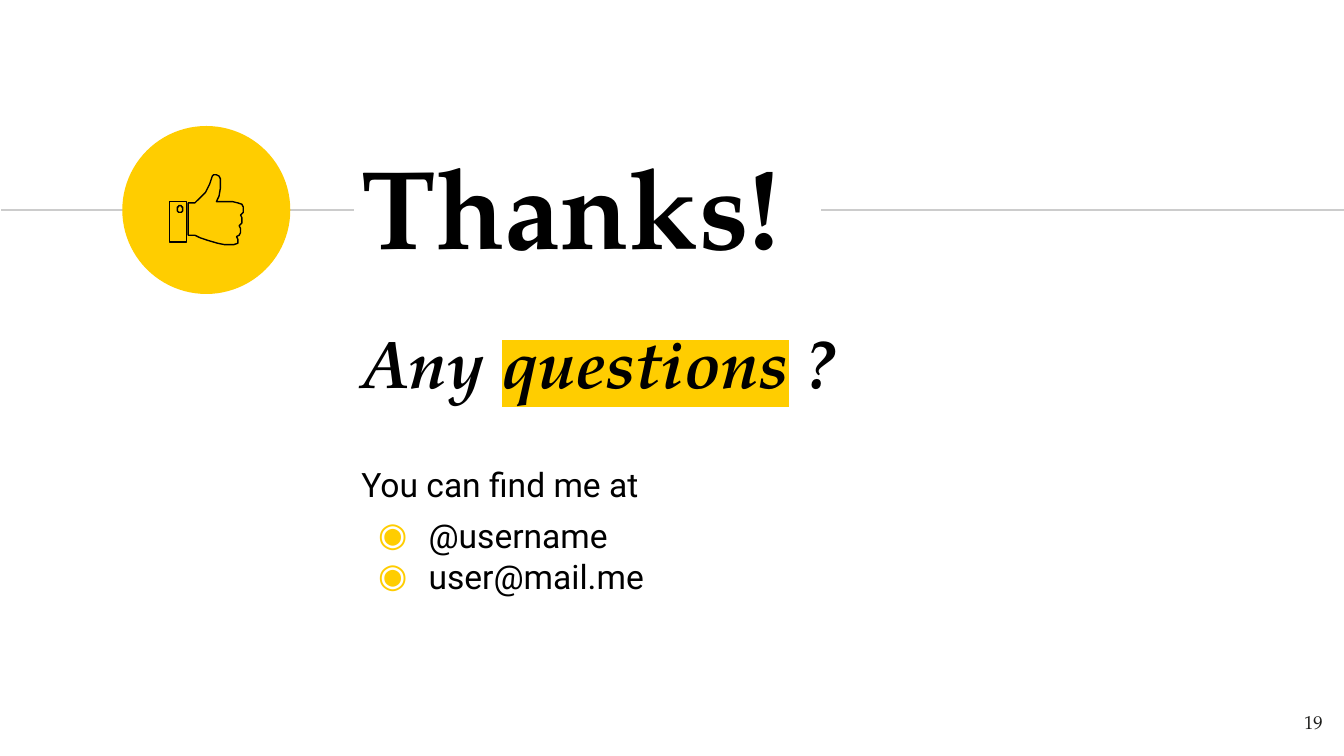
import math

from lxml import etree
from pptx import Presentation
from pptx.dml.color import RGBColor
from pptx.enum import shapes, text
from pptx.oxml.ns import qn
from pptx.util import Pt

# Content
TITLE = "Thanks!"
QUESTION = [("Any ", False), ("questions", True), (" ?", False)]  # text, highlighted
CONTACT_INTRO = "You can find me at"
CONTACTS = ["@username", "user@mail.me"]
PAGE_NUMBER = "19"

THEME = {
    "ink": "000000", "accent": "FFCD00", "rule": "CCCCCC", "page": "1D1D1B",
    "serif": "TeX Gyre Pagella", "sans": "Roboto",
    "title": 60, "question": 36, "body": 18, "number": 10,
    "line": 0.75, "inset": 7.2, "bullet": "◉",
}

# Layout in points: left, top, width, height
SLIDE = (720, 405)
TITLE_BOX = (186.5, 64, 386.6, 91.5)
BODY_BOX = (186.5, 165, 395.3, 62)
NUMBER_BOX = (672.5, 373.7, 43.2, 31)
BADGE = (65.5, 67.5, 90, 90)
RULE_Y = BADGE[1] + BADGE[3] / 2
RULES = [(0.7, 189.4), (440, SLIDE[0])]

# Thumbs-up outlines in hundredths of an inch
ICON_UNIT = Pt(0.72)
CUFF = [(126, 150), (126, 179.5), (139, 179.5), (139, 150)]
BUTTON = (134, 155.6, 2.4)  # centre x, centre y, radius
HAND = [
    (140, 175), (145, 175), (149, 177), (155, 179), (162, 181), (167, 182),
    (174, 182), (177, 181), (177, 178), (176.5, 176), (178, 175), (179, 173),
    (179, 169.5), (178, 168), (179.5, 166.5), (180, 165), (180, 162),
    (179, 160), (180, 159), (181, 158), (181, 154), (180, 152.5), (177, 151),
    (173, 150.5), (161, 150), (163, 146), (164, 140), (164, 133), (163, 131),
    (161, 130), (159, 130), (158, 131), (156, 137), (153, 143), (148, 148),
    (145, 151), (140, 151),
]


def rgb(name):
    return RGBColor.from_string(THEME[name])


def set_all(target, **values):
    for key, value in values.items():
        setattr(target, key, value)


def place(box, area, anchor=text.MSO_ANCHOR.TOP):
    set_all(box, **dict(zip(("left", "top", "width", "height"), map(Pt, area))))
    frame = box.text_frame
    set_all(frame, word_wrap=True, auto_size=text.MSO_AUTO_SIZE.NONE, vertical_anchor=anchor)
    for side in ("left", "right", "top", "bottom"):
        setattr(frame, f"margin_{side}", Pt(THEME["inset"]))
    return frame


def add_text_box(slide, area):
    return place(slide.shapes.add_textbox(0, 0, 0, 0), area)


def write(paragraph, words, size, face, color="ink", bold=False, italic=False):
    run = paragraph.add_run()
    run.text = words
    set_all(run.font, size=Pt(THEME[size]), name=THEME[face], bold=bold, italic=italic)
    run.font.color.rgb = rgb(color)
    return run


def highlight(run):
    mark = etree.Element(qn("a:highlight"))
    etree.SubElement(mark, qn("a:srgbClr"), val=THEME["accent"])
    run.font._element.find(qn("a:solidFill")).addnext(mark)


def add_bullet(paragraph):
    props = paragraph._p.get_or_add_pPr()
    props.set("marL", str(Pt(36)))
    props.set("indent", str(-Pt(27)))
    color = etree.SubElement(props, qn("a:buClr"))
    etree.SubElement(color, qn("a:srgbClr"), val=THEME["accent"])
    etree.SubElement(props, qn("a:buFont"), typeface=THEME["sans"])
    etree.SubElement(props, qn("a:buChar"), char=THEME["bullet"])


def add_rule(slide, start, end):
    rule = slide.shapes.add_connector(
        shapes.MSO_CONNECTOR.STRAIGHT, Pt(start), Pt(RULE_Y), Pt(end), Pt(RULE_Y))
    rule.line.color.rgb = rgb("rule")
    rule.line.width = Pt(THEME["line"])
    etree.SubElement(rule._element.spPr, qn("a:effectLst"))


def add_outline(slide, *contours):
    builder = slide.shapes.build_freeform(*contours[0][0], scale=ICON_UNIT)
    for index, contour in enumerate(contours):
        if index:
            builder.move_to(*contour[0])
        builder.add_line_segments(contour[1:], close=True)
    outline = builder.convert_to_shape()
    outline.shadow.inherit = False
    outline.fill.background()
    outline.line.color.rgb = rgb("ink")
    outline.line.width = Pt(THEME["line"])


def circle(x, y, radius, steps=24):
    angles = [2 * math.pi * step / steps for step in range(steps)]
    return [(x + radius * math.cos(a), y + radius * math.sin(a)) for a in angles]


def main():
    deck = Presentation()
    deck.slide_width, deck.slide_height = map(Pt, SLIDE)
    slide = deck.slides.add_slide(deck.slide_layouts[5])

    # Rules beside the title
    for start, end in RULES:
        add_rule(slide, start, end)

    # Title
    title = place(slide.shapes.title, TITLE_BOX, text.MSO_ANCHOR.MIDDLE).paragraphs[0]
    title.alignment = text.PP_ALIGN.LEFT
    write(title, TITLE, "title", "serif", bold=True)

    # Question and contacts
    body = add_text_box(slide, BODY_BOX)
    question = body.paragraphs[0]
    question.space_before = Pt(6)
    for words, marked in QUESTION:
        run = write(question, words, "question", "serif", bold=True, italic=True)
        if marked:
            highlight(run)
    intro = body.add_paragraph()
    intro.space_before = Pt(33)
    write(intro, CONTACT_INTRO, "body", "sans")
    for index, contact in enumerate(CONTACTS):
        entry = body.add_paragraph()
        entry.space_before = Pt(0 if index else 6)
        add_bullet(entry)
        write(entry, contact, "body", "sans")

    # Badge with thumbs-up
    badge = slide.shapes.add_shape(shapes.MSO_SHAPE.OVAL, *map(Pt, BADGE))
    badge.shadow.inherit = False
    badge.fill.solid()
    badge.fill.fore_color.rgb = rgb("accent")
    badge.line.fill.background()
    add_outline(slide, CUFF, circle(*BUTTON))
    add_outline(slide, HAND)

    # Page number
    number = add_text_box(slide, NUMBER_BOX).paragraphs[0]
    number.alignment = text.PP_ALIGN.RIGHT
    write(number, PAGE_NUMBER, "number", "serif", color="page")

    deck.save("out.pptx")


if __name__ == "__main__":
    main()
